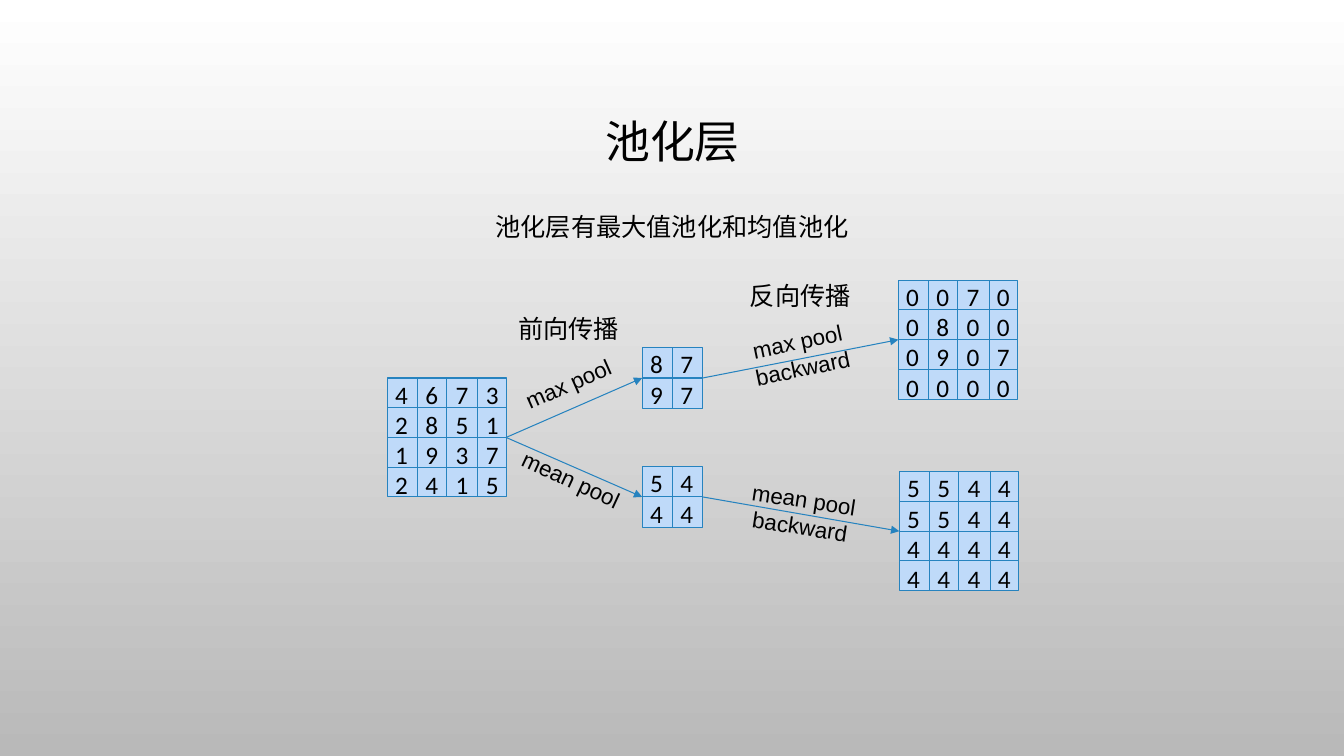
from dataclasses import dataclass

import lxml.etree
import pptx
import pptx.dml.color
import pptx.enum.shapes
import pptx.enum.text
import pptx.oxml.ns
import pptx.shapes.autoshape
import pptx.shapes.connector
import pptx.slide
import pptx.util

Inches = pptx.util.Inches
Align = pptx.enum.text.PP_ALIGN
Anchor = pptx.enum.text.MSO_ANCHOR
TOP, LEFT, BOTTOM, RIGHT = range(4)


@dataclass(frozen=True)
class Theme:
    background_top: str = "FFFFFF"
    background_bottom: str = "B9B9B9"
    cell: str = "BFDAF9"
    line: str = "2683BF"
    text: str = "000000"
    line_width: float = 0.75
    title_size: int = 32
    body_size: int = 18
    label_size: int = 16
    body_font: str = "Calibri"
    label_font: str = "Arial"
    heading_font: str = "Lato"


@dataclass(frozen=True)
class Matrix:
    left: float
    top: float
    side: float
    rows: tuple[str, ...]


@dataclass(frozen=True)
class Flow:
    source: str
    target: str
    label: str
    left: float
    top: float
    width: float
    height: float
    rotation: float


THEME = Theme()
PITCH = 0.3

MATRICES = {
    "input": Matrix(3.84, 3.75, 1.18, ("4673", "2851", "1937", "2415")),
    "max": Matrix(6.37, 3.45, 0.6, ("87", "97")),
    "mean": Matrix(6.37, 4.63, 0.6, ("54", "44")),
    "max gradient": Matrix(8.91, 2.78, 1.18, ("0070", "0800", "0907", "0000")),
    "mean gradient": Matrix(8.92, 4.68, 1.18, ("5544", "5544", "4444", "4444")),
}

FLOWS = (
    Flow("input", "max", "max pool", 5.05, 3.62, 1.17, 0.37, 336),
    Flow("input", "mean", "mean pool", 5, 4.57, 1.33, 0.37, 24.9),
    Flow("max", "max gradient", "max pool\nbackward", 7.35, 3.2, 1.17, 0.64, 348.1),
    Flow("mean", "mean gradient", "mean pool\nbackward", 7.29, 4.77, 1.33, 0.64, 8.7),
)


def rgb(value: str) -> pptx.dml.color.RGBColor:
    """Turn a hex string into a colour."""
    return pptx.dml.color.RGBColor.from_string(value)


def add_text(slide: pptx.slide.Slide, text: str, left: float, top: float,
             width: float, height: float, *, size: int = THEME.body_size,
             font: str = THEME.body_font, align: Align = Align.LEFT,
             anchor: Anchor = Anchor.TOP, line_spacing: float = 1.0,
             space_before: float = 0, rotation: float = 0) -> None:
    """Place formatted text, one paragraph per line."""
    box = slide.shapes.add_textbox(*map(Inches, (left, top, width, height)))
    box.rotation = rotation
    frame = box.text_frame
    frame.word_wrap = True
    frame.vertical_anchor = anchor
    frame.text = text
    for paragraph in frame.paragraphs:
        paragraph.alignment = align
        paragraph.line_spacing = line_spacing
        paragraph.space_before = pptx.util.Pt(space_before)
        for run in paragraph.runs:
            run.font.size = pptx.util.Pt(size)
            run.font.name = font
            run.font.color.rgb = rgb(THEME.text)


def add_line(slide: pptx.slide.Slide, start: tuple[float, float] = (0, 0),
             end: tuple[float, float] = (0, 0)) -> pptx.shapes.connector.Connector:
    """Draw a plain straight line."""
    line = slide.shapes.add_connector(
        pptx.enum.shapes.MSO_CONNECTOR.STRAIGHT, *map(Inches, (*start, *end)))
    line.line.color.rgb = rgb(THEME.line)
    line.line.width = pptx.util.Pt(THEME.line_width)
    lxml.etree.SubElement(line._element.spPr, pptx.oxml.ns.qn("a:effectLst"))
    return line


def add_joined_line(slide: pptx.slide.Slide, source: pptx.shapes.autoshape.Shape,
                    source_side: int, target: pptx.shapes.autoshape.Shape,
                    target_side: int) -> pptx.shapes.connector.Connector:
    """Draw a line joined to the middles of two sides."""
    line = add_line(slide)
    line.begin_connect(source, source_side)
    line.end_connect(target, target_side)
    return line


def add_matrix(slide: pptx.slide.Slide,
               matrix: Matrix) -> pptx.shapes.autoshape.Shape:
    """Draw a square of cells with one digit in each."""
    left, top, side, count = matrix.left, matrix.top, matrix.side, len(matrix.rows)
    square = slide.shapes.add_shape(pptx.enum.shapes.MSO_SHAPE.RECTANGLE,
                                    *map(Inches, (left, top, side, side)))
    square.shadow.inherit = False
    square.fill.solid()
    square.fill.fore_color.rgb = rgb(THEME.cell)
    square.line.color.rgb = rgb(THEME.line)
    square.line.width = pptx.util.Pt(THEME.line_width)
    for index in range(1, count):
        if index * 2 == count:
            add_joined_line(slide, square, LEFT, square, RIGHT)
            add_joined_line(slide, square, TOP, square, BOTTOM)
        else:
            x, y = left + index * PITCH, top + index * side / count
            add_line(slide, (left, y), (left + side, y))
            add_line(slide, (x, top), (x, top + side))
    for row, digits in enumerate(matrix.rows):
        for column, digit in enumerate(digits):
            add_text(slide, digit, left - 0.02 + column * PITCH,
                     top - 0.04 + row * PITCH, 0.33, 0.4)
    return square


def add_arrow(slide: pptx.slide.Slide, source: pptx.shapes.autoshape.Shape,
              target: pptx.shapes.autoshape.Shape) -> None:
    """Draw an arrow from one matrix to the next."""
    arrow = add_joined_line(slide, source, RIGHT, target, LEFT)
    lxml.etree.SubElement(arrow.line._get_or_add_ln(),
                          pptx.oxml.ns.qn("a:tailEnd"), type="triangle")


def set_background(slide: pptx.slide.Slide) -> None:
    """Fill the slide with a gradient from top to bottom."""
    fill = slide.background.fill
    fill.gradient()
    fill.gradient_angle = 270
    shades = (THEME.background_top, THEME.background_bottom)
    for stop, shade in zip(fill.gradient_stops, shades):
        stop.color.rgb = rgb(shade)


def main() -> None:
    """Build the pooling layer slide and save it."""
    deck = pptx.Presentation()
    deck.slide_width, deck.slide_height = Inches(13.33), Inches(7.5)
    slide = deck.slides.add_slide(deck.slide_layouts[6])
    set_background(slide)
    add_text(slide, "池化层", 5.8, 1.08, 1.74, 0.64, size=THEME.title_size,
             align=Align.CENTER, anchor=Anchor.BOTTOM, line_spacing=0.9)
    add_text(slide, "池化层有最大值池化和均值池化", 3.21, 1.99, 6.91, 0.47,
             align=Align.CENTER, line_spacing=1.2, space_before=10)
    add_text(slide, "前向传播", 5.04, 3.06, 1.23, 0.4, font=THEME.heading_font)
    add_text(slide, "反向传播", 7.34, 2.73, 1.23, 0.4, font=THEME.heading_font)
    squares = {name: add_matrix(slide, matrix) for name, matrix in MATRICES.items()}
    for flow in FLOWS:
        add_arrow(slide, squares[flow.source], squares[flow.target])
        add_text(slide, flow.label, flow.left, flow.top, flow.width, flow.height,
                 size=THEME.label_size, font=THEME.label_font,
                 align=Align.CENTER, rotation=flow.rotation)
    deck.save("out.pptx")


if __name__ == "__main__":
    main()
